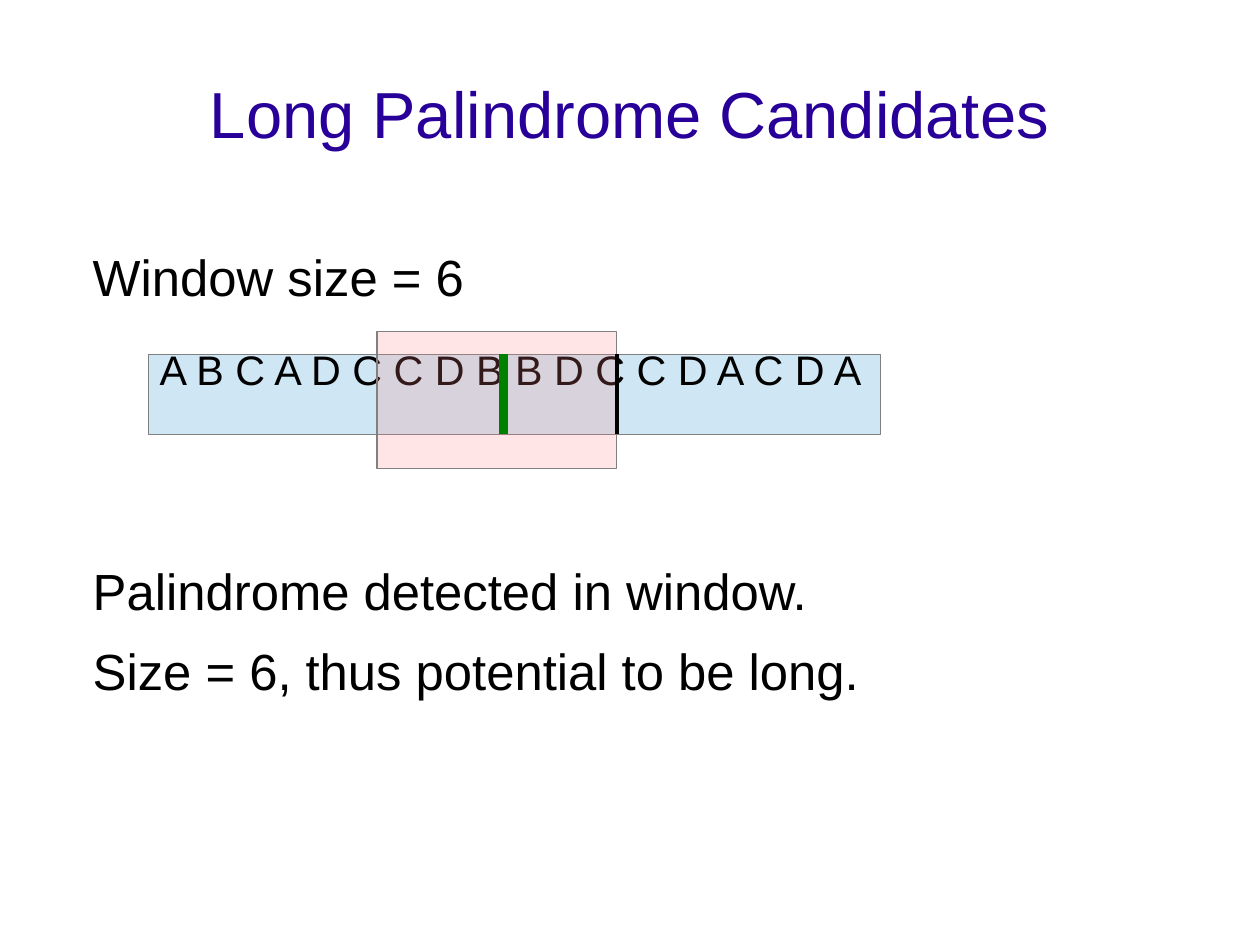
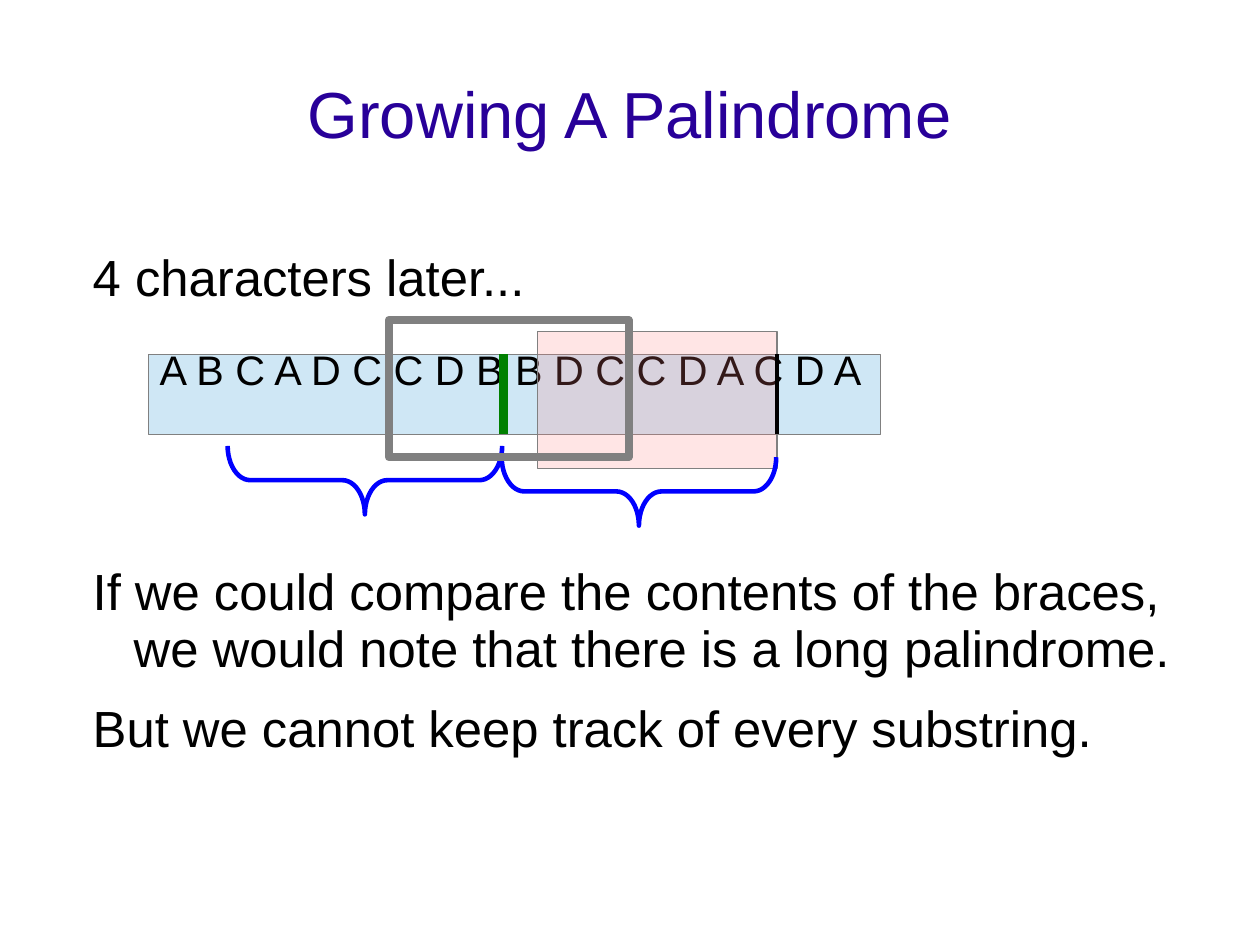
from dataclasses import dataclass

from lxml import etree
from pptx import Presentation
from pptx.dml.color import RGBColor
from pptx.enum.shapes import MSO_CONNECTOR, MSO_SHAPE
from pptx.enum.text import MSO_ANCHOR, MSO_AUTO_SIZE, PP_ALIGN
from pptx.oxml.ns import qn
from pptx.util import Cm, Pt

RECTANGLE = MSO_SHAPE.RECTANGLE
LEFT_BRACE = MSO_SHAPE.LEFT_BRACE
STRAIGHT = MSO_CONNECTOR.STRAIGHT
TOP = MSO_ANCHOR.TOP
MIDDLE = MSO_ANCHOR.MIDDLE
NO_FIT = MSO_AUTO_SIZE.NONE
LEFT = PP_ALIGN.LEFT
CENTER = PP_ALIGN.CENTER


@dataclass(frozen=True)
class Theme:
    font: str = "Arial"
    title_color: str = "280099"
    text_color: str = "000000"
    strip_fill: str = "CFE7F5"
    window_fill: str = "FF8080"
    window_opacity: int = 20
    outline: str = "808080"
    position_color: str = "000000"
    center_color: str = "008000"
    brace_color: str = "0000FF"
    title_size: float = 41
    body_size: float = 32
    strip_size: float = 26
    thin: float = 0.75
    medium: float = 2.89
    frame: float = 5.05
    thick: float = 5.75
    line_spacing: float = 0.93
    space_after: float = 14.3
    diagram_gap: float = 148.4


@dataclass(frozen=True)
class Area:
    left: float
    top: float
    width: float
    height: float

    @property
    def right(self) -> float:
        return self.left + self.width

    @property
    def bottom(self) -> float:
        return self.top + self.height


@dataclass(frozen=True)
class PalindromePage:
    title: str
    heading: str
    remarks: tuple[str, ...]
    window: Area
    braces: tuple[Area, ...] = ()
    found: tuple[Area, ...] = ()


THEME = Theme()
TITLE_AREA = Area(1.4, 0.84, 25.2, 3.51)
BODY_AREA = Area(2, 5.49, 24.59, 13.67)
STRIP = Area(3.3, 7.87, 16.26, 1.78)
CENTER_X = 11.18
CHARACTER_STEP = 0.89
SEQUENCE = "A B C A D C C D B B D C C D A C D A"
WINDOW = Area(8.38, 7.37, 5.33, 3.05)
LATER_WINDOW = Area(WINDOW.left + 4 * CHARACTER_STEP, WINDOW.top,
                    WINDOW.width, WINDOW.height)

PAGES = (
    PalindromePage(
        "Long Palindrome Candidates",
        "Window size = 6",
        ("Palindrome detected in window.",
         "Size = 6, thus potential to be long."),
        WINDOW,
    ),
    PalindromePage(
        "Growing A Palindrome",
        "4 characters later...",
        ("If we could compare the contents of the braces, "
         "we would note that there is a long palindrome.",
         "But we cannot keep track of every substring."),
        LATER_WINDOW,
        braces=(Area(5.06, 9.91, 6.1, 1.52), Area(11.15, 10.16, 6.1, 1.52)),
        found=(Area(8.64, 7.11, WINDOW.width, WINDOW.height),),
    ),
)


def place(shape, area: Area) -> None:
    shape.left, shape.top = Cm(area.left), Cm(area.top)
    shape.width, shape.height = Cm(area.width), Cm(area.height)


def prepare_frame(frame, anchor, left: float = 0, top: float = 0) -> None:
    frame.word_wrap = True
    frame.auto_size = NO_FIT
    frame.vertical_anchor = anchor
    frame.margin_left, frame.margin_top = Cm(left), Cm(top)
    frame.margin_right = frame.margin_bottom = Cm(0)


def write(para, text: str, size: float, color: str, align,
          spacing: float = THEME.line_spacing) -> None:
    para.alignment = align
    para.line_spacing = spacing
    span = para.add_run()
    span.text = text
    span.font.name = THEME.font
    span.font.size = Pt(size)
    span.font.color.rgb = RGBColor.from_string(color)


def add_title(page, text: str) -> None:
    title = page.shapes.title
    place(title, TITLE_AREA)
    prepare_frame(title.text_frame, MIDDLE)
    write(title.text_frame.paragraphs[0], text, THEME.title_size,
          THEME.title_color, CENTER)


def add_body(page, heading: str, remarks: tuple[str, ...]) -> None:
    body = page.placeholders[1]
    place(body, BODY_AREA)
    frame = body.text_frame
    prepare_frame(frame, TOP, top=0.08)
    for index, text in enumerate((heading, *remarks)):
        para = frame.add_paragraph() if index else frame.paragraphs[0]
        properties = para._p.get_or_add_pPr()
        properties.set("marL", str(Cm(0.97)))
        properties.set("indent", str(Cm(-0.91)))
        etree.SubElement(properties, qn("a:buNone"))
        para.space_before = Pt(THEME.diagram_gap if index == 1 else 0)
        para.space_after = Pt(THEME.space_after)
        write(para, text, THEME.body_size, THEME.text_color, LEFT)


def add_outlined(page, kind, area: Area, color: str, width: float,
                 fill: str | None = None):
    box = page.shapes.add_shape(kind, Cm(area.left), Cm(area.top),
                                Cm(area.width), Cm(area.height))
    box.shadow.inherit = False
    if fill:
        box.fill.solid()
        box.fill.fore_color.rgb = RGBColor.from_string(fill)
    else:
        box.fill.background()
    box.line.color.rgb = RGBColor.from_string(color)
    box.line.width = Pt(width)
    return box


def add_strip(page) -> None:
    box = add_outlined(page, RECTANGLE, STRIP, THEME.outline, THEME.thin,
                       THEME.strip_fill)
    prepare_frame(box.text_frame, TOP, left=0.25)
    write(box.text_frame.paragraphs[0], SEQUENCE, THEME.strip_size,
          THEME.text_color, LEFT, spacing=0.8)


def add_window(page, area: Area) -> None:
    box = add_outlined(page, RECTANGLE, area, THEME.outline, THEME.thin,
                       THEME.window_fill)
    color = box.fill._xPr.find(qn("a:solidFill"))[0]
    alpha = etree.SubElement(color, qn("a:alpha"))
    alpha.set("val", str(THEME.window_opacity * 1000))


def add_marker(page, x: float, color: str, width: float) -> None:
    marker = page.shapes.add_connector(STRAIGHT, Cm(x), Cm(STRIP.top),
                                       Cm(x), Cm(STRIP.bottom))
    marker.line.color.rgb = RGBColor.from_string(color)
    marker.line.width = Pt(width)
    etree.SubElement(marker._element.spPr, qn("a:effectLst"))


def add_brace(page, area: Area) -> None:
    shift = (area.width - area.height) / 2
    upright = Area(area.left + shift, area.top - shift,
                   area.height, area.width)
    brace = add_outlined(page, LEFT_BRACE, upright, THEME.brace_color,
                         THEME.medium)
    brace.adjustments[0] = 0.33
    brace.adjustments[1] = 0.5
    brace.rotation = 270


def add_page(deck, content: PalindromePage) -> None:
    page = deck.slides.add_slide(deck.slide_layouts[1])
    add_title(page, content.title)
    add_body(page, content.heading, content.remarks)
    add_strip(page)
    add_window(page, content.window)
    add_marker(page, content.window.right, THEME.position_color, THEME.medium)
    add_marker(page, CENTER_X, THEME.center_color, THEME.thick)
    for area in content.braces:
        add_brace(page, area)
    for area in content.found:
        add_outlined(page, RECTANGLE, area, THEME.outline, THEME.frame)


def main() -> None:
    deck = Presentation()
    deck.slide_width, deck.slide_height = Cm(28), Cm(21)
    for content in PAGES:
        add_page(deck, content)
    deck.save("out.pptx")


if __name__ == "__main__":
    main()
